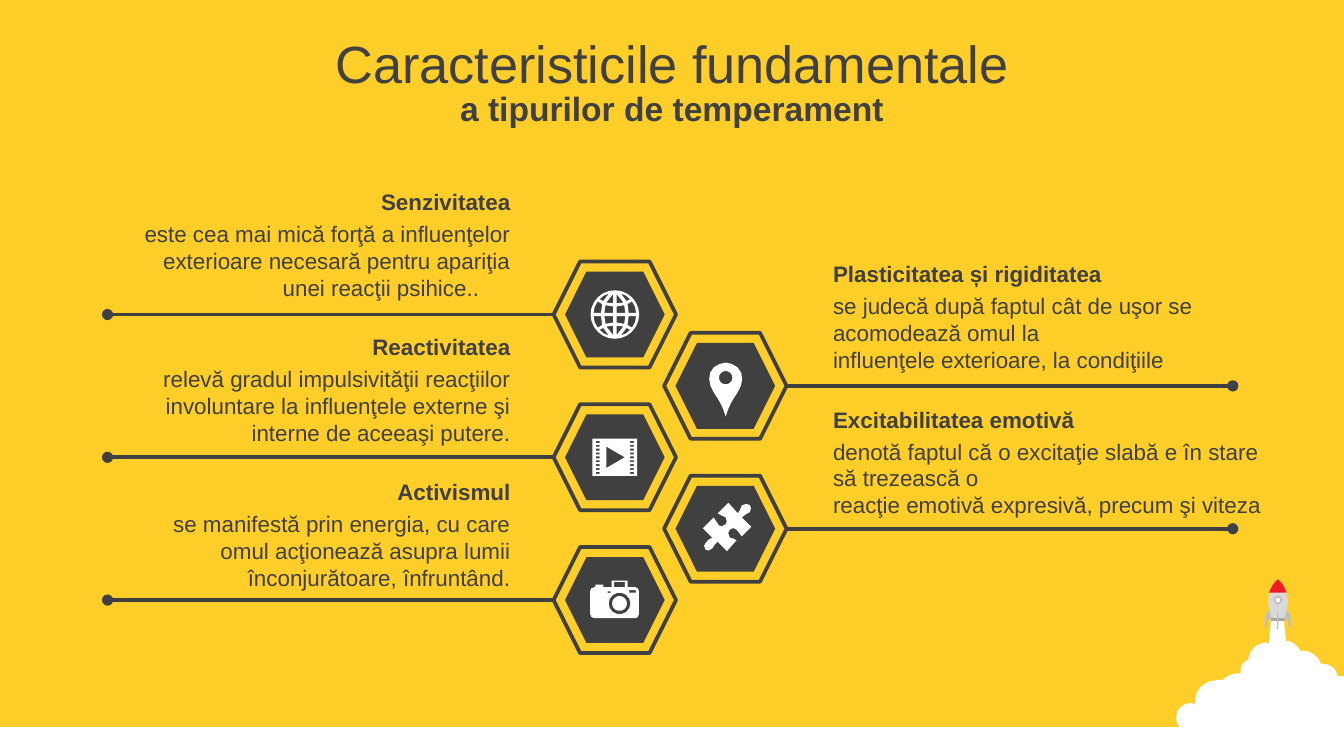
from math import cos, dist, pi, sin
from lxml import etree
from pptx import Presentation
from pptx.dml.color import RGBColor
from pptx.enum import shapes, text
from pptx.oxml import ns
from pptx.util import Pt

COLORS = {"yellow": "FFCE29", "dark": "404040", "white": "FFFFFF", "body": "D9D9D9",
          "band": "A6A6A6", "fin": "BFBFBF", "red": "ED1C24"}
KIND = shapes.MSO_SHAPE
ALIGN = text.PP_ALIGN

TRAITS = [
    ("Senzivitatea", ["este cea mai mică forţă a influenţelor exterioare necesară pentru apariţia",
                      "unei reacţii psihice.."], 250),
    ("Plasticitatea și rigiditatea", ["se judecă după faptul cât de uşor se acomodează omul la",
                                      "influenţele exterioare, la condiţiile"], 249),
    ("Reactivitatea", ["relevă gradul impulsivităţii reacţiilor involuntare la influenţele externe şi",
                       "interne de aceeaşi putere."], 250),
    ("Excitabilitatea emotivă", ["denotă faptul că o excitaţie slabă e în stare să trezească o",
                                 "reacţie emotivă expresivă, precum şi viteza"], 249),
    ("Activismul", ["se manifestă prin energia, cu care omul acţionează asupra lumii",
                    "înconjurătoare, înfruntând."], 216.7),
]

PUZZLE = [
    (13.2, -12.5), (13.9, -11.8, 13.9, -10.3, 13.2, -8.9), (11.7, -7.4, 10.3, -8.2, 8.8, -6),
    (13.9, -1), (8.8, 4.1), (6.7, 2.6, 7.4, 1.2, 6, 0.5), (5.2, -1, 3.1, -0.2, 2.4, 0.5),
    (1.6, 1.2, 0.9, 3.4, 2.4, 4.8), (3.8, 5.5, 4.5, 4.8, 6, 6.2), (0.9, 12), (-4.1, 7),
    (-6.3, 8.4, -5.6, 9.1, -7, 10.6), (-8.4, 12, -9.9, 12, -10.6, 11.3),
    (-11.3, 9.8, -12, 8.4, -10.6, 7.7), (-9.9, 5.5, -8.4, 6.2, -7, 4.8), (-12, -0.2), (-6.3, -6),
    (-4.1, -4.6, -5.6, -3.1, -3.4, -1.7), (-2.7, -1, -1.2, -1, 0.2, -2.4),
    (0.9, -3.1, 0.9, -4.6, 0.2, -6), (-2, -7.4, -2, -6.7, -4.1, -8.2), (1.6, -13.9), (6.7, -8.2),
    (8.8, -10.3, 7.4, -10.3, 8.8, -12.5), (10.3, -13.9, 12.5, -13.2, 13.2, -12.5),
]
PIN = [
    (0.2, -12.5), (2.4, -12.3, 4.8, -11.4, 6.5, -10), (10.3, -6.7, 9.5, -0.7, 6.4, 3.8),
    (3.6, 7.9, 2, 10.4, 0.2, 16.4), (-1.6, 10.4, -3.2, 7.9, -6, 3.8),
    (-9.1, -0.7, -9.9, -6.7, -6.1, -10), (-4.4, -11.4, -2, -12.3, 0.2, -12.5),
]
CAMERA = [
    (-11, -6.9), (-10.4, -6.9), (-10.4, -8.3), (-6.1, -8.3), (-6.1, -6.9), (-1.8, -6.9),
    (-1.8, -10.4), (6.8, -10.4), (6.8, -6.9), (11, -6.9), (12, -6.9, 12.8, -6, 12.8, -5),
    (12.8, 7.6), (12.8, 8.8, 12, 9.7, 11, 9.7), (-11, 9.7), (-12.2, 9.7, -13.2, 8.8, -13.2, 7.6),
    (-13.2, -5), (-13.2, -6, -12.2, -6.9, -11, -6.9),
]
CLOUD = [
    (681.1, 330.5), (687.6, 330.5), (689, 343.4), (690.5, 343.4),
    (692.6, 344.2, 694.8, 345.6, 696.2, 347.8), (697, 349.2), (697.7, 348.5),
    (702, 348.5, 706.3, 351.4, 707.8, 355.7), (708.5, 355.7),
    (712.8, 355.5, 715.5, 358, 716.4, 361.4), (716.4, 362.2), (720, 362.2), (720, 404),
    (643, 404), (637.9, 392.4), (633.6, 392.4, 630, 388.8, 630, 384.5),
    (630, 380.2, 633.6, 376.6, 637.9, 376.6), (640.1, 377.3), (640.1, 375.8),
    (640.1, 369.4, 645.1, 364.3, 652.3, 364.3), (655.2, 364.3), (655.9, 363.6),
    (658.1, 361.4, 661, 360.7, 664.6, 360.7), (664.6, 359.3),
    (664.6, 356.4, 666, 354.2, 668.9, 353.5), (668.9, 352.1),
    (669.6, 347.8, 673.9, 344.2, 678.2, 344.2), (679.7, 344.9),
]
HULL = [(-3.5, 332.6), (-4.9, 326.2, -7.8, 316.8, 0.1, 310.3), (8, 317.5, 5.2, 326.9, 3.7, 332.6)]
NOSE = [(0.1, 310.3), (2.4, 312.5, 3.7, 314.6, 4.6, 317.5), (-4.7, 317.5),
        (-3.6, 314.6, -2.4, 312.5, 0.1, 310.3)]
FIN = [(4.8, 326.9), (3.5, 330.5), (6.2, 332, 5.6, 335.5, 6.4, 337.2),
       (7.3, 334.8, 7.6, 329, 4.8, 326.9)]
CELLS = [
    [(0.9, 0.9), (5.6, 0.9), (5, 5), (0.9, 4.3)],
    [(7.4, 0.9), (11.4, 0.9), (10.8, 4.2), (9.2, 7), (6.8, 5.6)],
    [(0.9, 6), (4.6, 6.4), (0.9, 11)],
    [(6.2, 7.2), (8.2, 8.2), (6, 10.1), (3.2, 11.3)],
]


def color(name):
    return RGBColor.from_string(COLORS[name])


def trace(segs):
    pts = [segs[0]]
    for seg in segs[1:]:
        if len(seg) == 2:
            pts.append(seg)
            continue
        knots = [pts[-1], seg[:2], seg[2:4], seg[4:]]
        steps = 2 if dist(knots[0], knots[3]) < 7 else 4
        for t in (n / steps for n in range(1, steps + 1)):
            mix = ((1 - t) ** 3, 3 * t * (1 - t) ** 2, 3 * t * t * (1 - t), t ** 3)
            pts.append(tuple(sum(m * k[a] for m, k in zip(mix, knots)) for a in (0, 1)))
    return pts


def ring(x, y, r, count=14):
    turns = [2 * pi * n / count for n in range(count)]
    return [(x + r * cos(t), y + r * sin(t)) for t in turns]


def box(x, y, w, h):
    return [(x, y), (x + w, y), (x + w, y + h), (x, y + h)]


def globe():
    return [ring(0, 0, 13, 24)] + [[(a * x, b * y) for x, y in cell]
                                   for cell in CELLS for a in (1, -1) for b in (1, -1)]


def film():
    holes = [box(x, -8.7 + 2.07 * n, 2, 1) for x in (-10.2, 8.2) for n in range(9)]
    return [box(-12, -10, 24, 20), [(-4.6, -5.7), (-4.6, 5.8), (5.3, 0)]] + holes


def camera():
    return [trace(CAMERA), ring(2.5, 1.8, 5.8), ring(2.5, 1.8, 4), box(-0.4, -9.7, 5.8, 2.8),
            box(-3.9, -4.7, 1.7, 0.8), box(7.6, -5.4, 3.6, 1.4)]


def paint(shape, fill, line=None, width=2):
    shape.shadow.inherit = False
    shape.fill.solid()
    shape.fill.fore_color.rgb = color(fill)
    if line:
        shape.line.color.rgb = color(line)
        shape.line.width = Pt(width)
    else:
        shape.line.fill.background()


def form(slide, kind, x, y, w, h, *look):
    paint(slide.shapes.add_shape(kind, Pt(x), Pt(y), Pt(w), Pt(h)), *look)


def draw(slide, loops, fill, x=0, y=0, flip=1):
    pen = None
    for loop in loops:
        pts = [(Pt(x + flip * a), Pt(y + b)) for a, b in loop]
        if pen is None:
            pen = slide.shapes.build_freeform(*pts[0])
        else:
            pen.move_to(*pts[0])
        pen.add_line_segments(pts[1:], close=True)
    paint(pen.convert_to_shape(), fill)


def write(shape, rows, size, align, bold=False, anchor=text.MSO_ANCHOR.TOP):
    frame = shape.text_frame
    frame.word_wrap = True
    frame.auto_size = text.MSO_AUTO_SIZE.NONE
    frame.vertical_anchor = anchor
    for n, row in enumerate(rows):
        par = frame.add_paragraph() if n else frame.paragraphs[0]
        par.alignment = align
        run = par.add_run()
        run.text = row
        run.font.name, run.font.size, run.font.bold = "Arial", Pt(size), bold
        run.font.color.rgb = color("dark")


def label(slide, x, y, w, h, *look):
    area = slide.shapes.add_textbox(Pt(x), Pt(y), Pt(w), Pt(h))
    write(area, *look)
    return area


def link(slide, x, end, y):
    line = slide.shapes.add_connector(shapes.MSO_CONNECTOR.STRAIGHT, Pt(x), Pt(y), Pt(end), Pt(y))
    line.line.color.rgb = color("dark")
    line.line.width = Pt(2)
    etree.SubElement(line.line._get_or_add_ln(), ns.qn("a:tailEnd"), type="oval")
    etree.SubElement(line._element.spPr, ns.qn("a:effectLst"))


def rocket(slide):
    form(slide, KIND.RECTANGLE, 0, 389.5, 720, 15.5, "white")
    draw(slide, [trace(CLOUD)], "white")
    mid = 684.6
    draw(slide, [trace(HULL)], "body", mid)
    draw(slide, [box(-3.8, 331, 7.6, 1.9)], "band", mid)
    draw(slide, [trace(NOSE)], "red", mid)
    form(slide, KIND.OVAL, mid - 1.8, 319.7, 3.6, 3.6, "white", "fin", 1)
    form(slide, KIND.RECTANGLE, mid - 0.4, 327.6, 0.7, 9.4, "fin")
    for side in (-1, 1):
        draw(slide, [trace(FIN)], "fin", mid, flip=side)


def trait(slide, n, icon):
    name, rows, wide = TRAITS[n]
    left = n % 2 == 0
    x, y = 329.4 if left else 388.6, 168.5 + 38.25 * n
    form(slide, KIND.HEXAGON, x - 32.8, y - 28.4, 65.6, 56.8, "yellow", "dark")
    form(slide, KIND.HEXAGON, x - 26.7, y - 23, 53.4, 46, "dark")
    link(slide, x - 32.8 if left else x + 32.8, 57.6 if left else 660.4, y)
    draw(slide, icon, "white", x, y)
    top, align = 97.2 + 38.87 * n, ALIGN.RIGHT if left else ALIGN.LEFT
    area = label(slide, 280.6 - wide if left else 439.2, top + 17.1, wide, 51, rows, 12, align)
    label(slide, 76.6 if left else 439.2, top, 204, 21.8, [name], 12, align, True)
    return area


def main():
    deck = Presentation()
    deck.slide_width, deck.slide_height = Pt(720), Pt(405)
    slide = deck.slides.add_slide(deck.slide_layouts[5])
    slide.background.fill.solid()
    slide.background.fill.fore_color.rgb = color("yellow")
    rocket(slide)
    title = slide.shapes.title
    title.left, title.top, title.width, title.height = Pt(0), Pt(10.8), Pt(720), Pt(45)
    middle = text.MSO_ANCHOR.MIDDLE
    write(title, ["Caracteristicile fundamentale"], 28, ALIGN.CENTER, False, middle)
    label(slide, 0, 46.8, 720, 22.5, ["a tipurilor de temperament"], 18, ALIGN.CENTER, True, middle)
    icons = [globe(), [trace(PIN), ring(0.2, -4.4, 3.6)], film(), [trace(PUZZLE)], camera()]
    areas = [trait(slide, n, icon) for n, icon in enumerate(icons)]
    last = areas[0].text_frame.paragraphs[1]
    last._p.get_or_add_pPr().set("marR", str(Pt(16.7)))
    deck.save("out.pptx")


if __name__ == "__main__":
    main()
